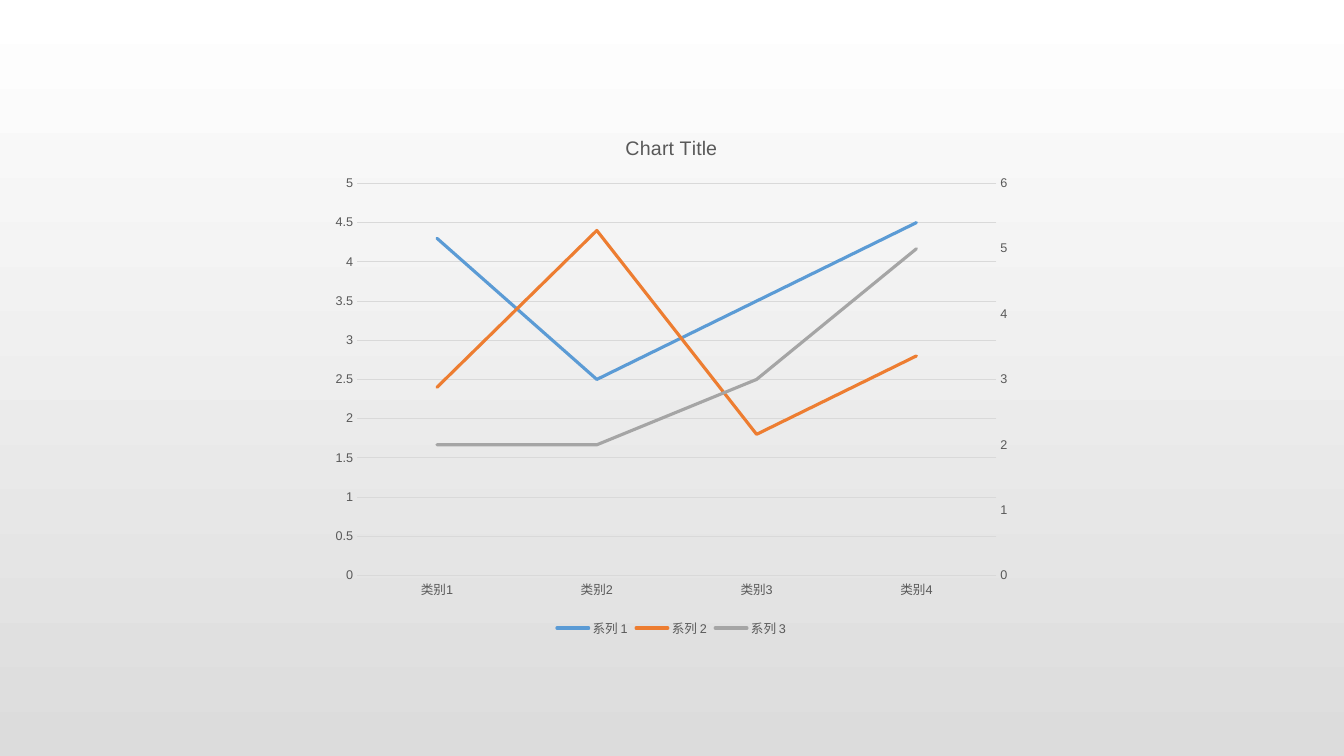
from copy import deepcopy
from dataclasses import dataclass

from pptx import Presentation, util as u
from pptx.chart import axis as ax, data
from pptx.dml.color import RGBColor
from pptx.enum import chart as ch
from pptx.oxml.ns import qn

FONT = "Arial"
GREY = "595959"
PALE = "D9D9D9"


@dataclass
class Line:
    """One series: its name, values and colour."""
    name: str
    vals: tuple
    hue: str


CATS = [f"类别{n}" for n in range(1, 5)]
LINES = [
    Line("系列 1", (4.3, 2.5, 3.5, 4.5), "5B9BD5"),
    Line("系列 2", (2.4, 4.4, 1.8, 2.8), "ED7D31"),
    Line("系列 3", (2, 2, 3, 5), "A5A5A5"),
]


def rgb(hue: str) -> RGBColor:
    """Turn a hex string into a colour."""
    return RGBColor.from_string(hue)


def style(font, size: float = 9, hue: str = GREY) -> None:
    """Set face, size and colour of a font."""
    font.name, font.size, font.bold = FONT, u.Pt(size), False
    font.color.rgb = rgb(hue)


def write(frame, words: str, **look) -> None:
    """Put formatted text into a text frame."""
    run = frame.paragraphs[0].add_run()
    run.text = words
    style(run.font, **look)


def stroke(line, hue: str, width: float) -> None:
    """Colour a line and set its width."""
    line.color.rgb = rgb(hue)
    line.width = u.Pt(width)


def paint(slide) -> None:
    """Fill the background from white down to grey."""
    fill = slide.background.fill
    fill.gradient()
    fill.gradient_angle = 270
    for stop, hue in zip(fill.gradient_stops, ("FFFFFF", "DCDCDC")):
        stop.color.rgb = rgb(hue)


def scale(axis, top: float, step: float) -> None:
    """Run a value axis from zero to top."""
    axis.minimum_scale, axis.maximum_scale = 0, top
    axis.major_unit = step


def trim(axis) -> None:
    """Drop tick marks and set the label font."""
    axis.major_tick_mark = axis.minor_tick_mark = ch.XL_TICK_MARK.NONE
    style(axis.tick_labels.font)


def split(chart) -> None:
    """Move the last series to a second pair of axes."""
    first = chart.plots[0]._element
    pair = [chart.category_axis._element, chart.value_axis._element]
    second = deepcopy(first)
    for ser in second.findall(qn("c:ser")):
        second.remove(ser)
    last = first.findall(qn("c:ser"))[-1]
    second.find(qn("c:varyColors")).addnext(last)
    first.addnext(second)

    ids = ("5001", "5002")
    for node, num in zip(second.findall(qn("c:axId")), ids):
        node.set("val", num)
    twins = [deepcopy(node) for node in pair]
    for twin, num, other, side in zip(twins, ids, ids[::-1], "tr"):
        for tag, val in (("axId", num), ("crossAx", other),
                         ("axPos", side), ("crosses", "max")):
            twin.find(qn("c:" + tag)).set("val", val)
    pair[-1].addnext(twins[0])
    twins[0].addnext(twins[1])

    roof, right = ax.CategoryAxis(twins[0]), ax.ValueAxis(twins[1])
    roof.tick_label_position = ch.XL_TICK_LABEL_POSITION.NONE
    right.has_major_gridlines = False
    scale(right, 6, 1)


def plot(slide) -> None:
    """Draw the line chart with its two value axes."""
    book = data.CategoryChartData()
    book.categories = CATS
    for item in LINES:
        book.add_series(item.name, item.vals)
    spot = [u.Inches(n) for n in (3.19, 1.15, 6.94, 5.21)]
    chart = slide.shapes.add_chart(
        ch.XL_CHART_TYPE.LINE, *spot, book).chart
    style(chart.font, size=10, hue="000000")
    chart.has_title = True
    write(chart.chart_title.text_frame, "Chart Title", size=14)
    chart.chart_title.include_in_layout = False
    chart.has_legend = True
    chart.legend.position = ch.XL_LEGEND_POSITION.BOTTOM
    chart.legend.include_in_layout = False
    style(chart.legend.font)

    chart.plots[0].vary_by_categories = False
    for ser, item in zip(chart.plots[0].series, LINES):
        ser.smooth = False
        ser.marker.style = ch.XL_MARKER_STYLE.NONE
        stroke(ser.format.line, item.hue, 2.25)
        ser._element.find(".//" + qn("a:ln")).set("cap", "rnd")

    base, left = chart.category_axis, chart.value_axis
    trim(base)
    trim(left)
    stroke(base.format.line, PALE, 0.75)
    left.format.line.fill.background()
    left.has_major_gridlines = True
    stroke(left.major_gridlines.format.line, PALE, 0.75)
    scale(left, 5, 0.5)
    split(chart)


def main() -> None:
    """Build and save the slide."""
    deck = Presentation()
    deck.slide_width, deck.slide_height = u.Inches(13.33), u.Inches(7.5)
    slide = deck.slides.add_slide(deck.slide_layouts[6])
    paint(slide)
    plot(slide)
    deck.save("out.pptx")


main()
